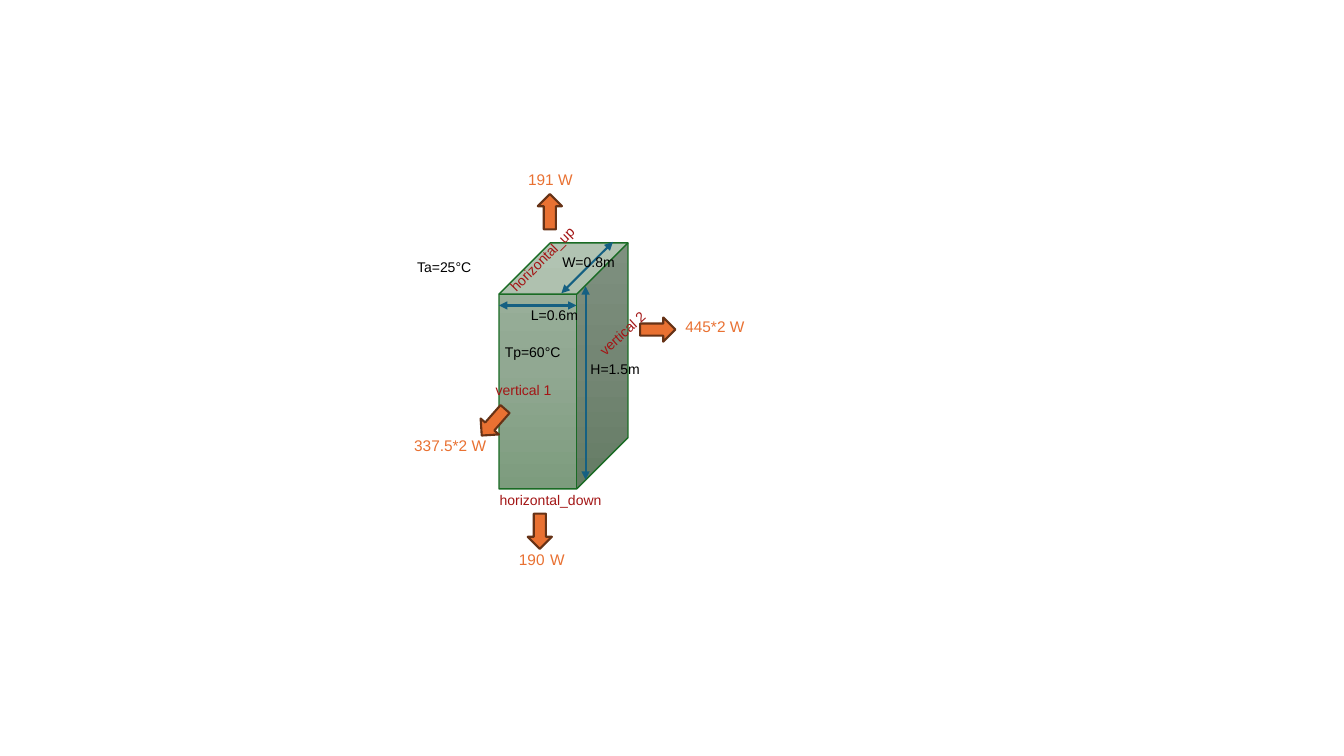
from copy import deepcopy
from dataclasses import dataclass
from typing import Any

from lxml.etree import SubElement
from pptx import Presentation
from pptx.dml.color import RGBColor
from pptx.enum.shapes import MSO_CONNECTOR, MSO_SHAPE
from pptx.enum.text import MSO_AUTO_SIZE
from pptx.oxml.ns import qn
from pptx.shapes.shapetree import GroupShapes
from pptx.util import Pt


@dataclass(frozen=True)
class Theme:
    font: str = "Arial"
    ink: str = "000000"
    face: str = "A31515"
    heat: str = "E97132"
    rim: str = "663216"
    edge: str = "196B24"
    span: str = "156082"
    body: tuple[str, ...] = ("9EB49F", "91A892", "7D9C7E")
    small: float = 10
    large: float = 11
    gap: float = 14
    lead: float = 14.2


@dataclass(frozen=True)
class Label:
    text: str
    left: float
    top: float
    width: float
    turn: float = 0


@dataclass(frozen=True)
class Style:
    color: str
    size: float
    height: float
    wrap: bool = False
    lead: float | None = None


@dataclass(frozen=True)
class Span:
    """A dimension line with a head at each end."""
    x1: float
    y1: float
    x2: float
    y2: float


@dataclass(frozen=True)
class Flow:
    """A block arrow for heat leaving one face."""
    left: float
    top: float
    turn: float


LOOK = Theme()
SIZE = Style(LOOK.ink, LOOK.small, 19.4)
FACE = Style(LOOK.face, LOOK.small, 20.2, True, Pt(LOOK.lead))
RATE = Style(LOOK.heat, LOOK.large, 20.9)

SPANS = [
    Span(437.8, 172.8, 401, 209.5),
    Span(418.3, 204.5, 418.3, 342.7),
    Span(356.4, 218.2, 411.8, 218.2),
]
SIZES = [
    Label("H=1.5m", 414.7, 254.2, 50.4),
    Label("L=0.6m", 372.2, 215.3, 48.2),
    Label("W=0.8m", 394.6, 177.8, 52.6),
    Label("Tp=60°C", 353.5, 241.9, 54.7),
    Label("Ta=25°C", 290.9, 181.4, 54.7),
]
FACES = [
    Label("horizontal_down", 349.9, 345.6, 105.8),
    Label("vertical 2", 413.3, 218.9, 77, 317.7),
    Label("vertical 1", 347, 267.1, 77),
    Label("horizontal_up", 345.6, 165.6, 97.2, 314.9),
]
FLOWS = [
    Flow(457.2, 226.8, 0),
    Flow(339.8, 293, 131.3),
    Flow(373, 370.8, 90),
    Flow(380.2, 142.6, 270),
]
RATES = [
    Label("191 W", 370.1, 118.1, 46.8),
    Label("445*2 W", 482.4, 223.2, 56.9),
    Label("337.5*2 W", 288.7, 308.2, 66.2),
]
BASE = Label("190 W", 363.6, 386.6, 47.5)


def apply(item: Any, form: dict[str, Any]) -> None:
    for name, value in form.items():
        setattr(item, name, value)


def rgb(code: str) -> RGBColor:
    return RGBColor.from_string(code)


def stroke(line: Any, color: str, width: float) -> None:
    line.color.rgb = rgb(color)
    line.width = Pt(width)


def draw_box(shapes: GroupShapes) -> None:
    box = shapes.add_shape(MSO_SHAPE.CUBE, Pt(356.4), Pt(173.5), Pt(92.2), Pt(175.7))
    box.adjustments[0] = 0.397
    box.shadow.inherit = False
    stroke(box.line, LOOK.edge, 1)
    box.fill.gradient()
    box.fill.gradient_angle = 270
    stops = box._element.spPr.find(qn("a:gradFill")).find(qn("a:gsLst"))
    stops.insert(1, deepcopy(stops[0]))
    for i, (stop, color) in enumerate(zip(box.fill.gradient_stops, LOOK.body)):
        stop.position = i / 2
        stop.color.rgb = rgb(color)


def draw_span(shapes: GroupShapes, span: Span) -> None:
    line = shapes.add_connector(
        MSO_CONNECTOR.STRAIGHT, Pt(span.x1), Pt(span.y1), Pt(span.x2), Pt(span.y2))
    stroke(line.line, LOOK.span, 1.5)
    outline = line.line._get_or_add_ln()
    for end in ("a:headEnd", "a:tailEnd"):
        SubElement(outline, qn(end), type="triangle")
    SubElement(line._element.spPr, qn("a:effectLst"))


def draw_flow(shapes: GroupShapes, flow: Flow) -> None:
    arrow = shapes.add_shape(
        MSO_SHAPE.RIGHT_ARROW, Pt(flow.left), Pt(flow.top), Pt(25.2), Pt(17.3))
    arrow.rotation = flow.turn
    arrow.shadow.inherit = False
    arrow.fill.solid()
    arrow.fill.fore_color.rgb = rgb(LOOK.heat)
    stroke(arrow.line, LOOK.rim, 1.5)


def add_run(para: Any, text: str, color: str, size: float) -> None:
    run = para.add_run()
    run.text = text
    apply(run.font, {"name": LOOK.font, "size": Pt(size)})
    run.font.color.rgb = rgb(color)


def draw_label(shapes: GroupShapes, label: Label, style: Style) -> Any:
    """Draw the label and return its paragraph."""
    box = shapes.add_textbox(
        Pt(label.left), Pt(label.top), Pt(label.width), Pt(style.height))
    box.rotation = label.turn
    apply(box.text_frame, {
        "word_wrap": style.wrap, "auto_size": MSO_AUTO_SIZE.SHAPE_TO_FIT_TEXT})
    para = box.text_frame.paragraphs[0]
    para.line_spacing = style.lead
    return para


def main() -> None:
    deck = Presentation()
    apply(deck, {"slide_width": Pt(960), "slide_height": Pt(540)})
    slide = deck.slides.add_slide(deck.slide_layouts[6])
    shapes = slide.shapes.add_group_shape().shapes
    draw_box(shapes)
    for span in SPANS:
        draw_span(shapes, span)
    for flow in FLOWS:
        draw_flow(shapes, flow)
    for labels, style in ((SIZES, SIZE), (FACES, FACE), (RATES, RATE)):
        for label in labels:
            para = draw_label(shapes, label, style)
            add_run(para, label.text, style.color, style.size)
    # The wider space makes the bottom label taller than the other rates.
    para = draw_label(shapes, BASE, Style(LOOK.heat, LOOK.large, 24.5))
    count, unit = BASE.text.split()
    for text, size in ((count, LOOK.large), (" ", LOOK.gap), (unit, LOOK.large)):
        add_run(para, text, LOOK.heat, size)
    deck.save("out.pptx")


if __name__ == "__main__":
    main()
